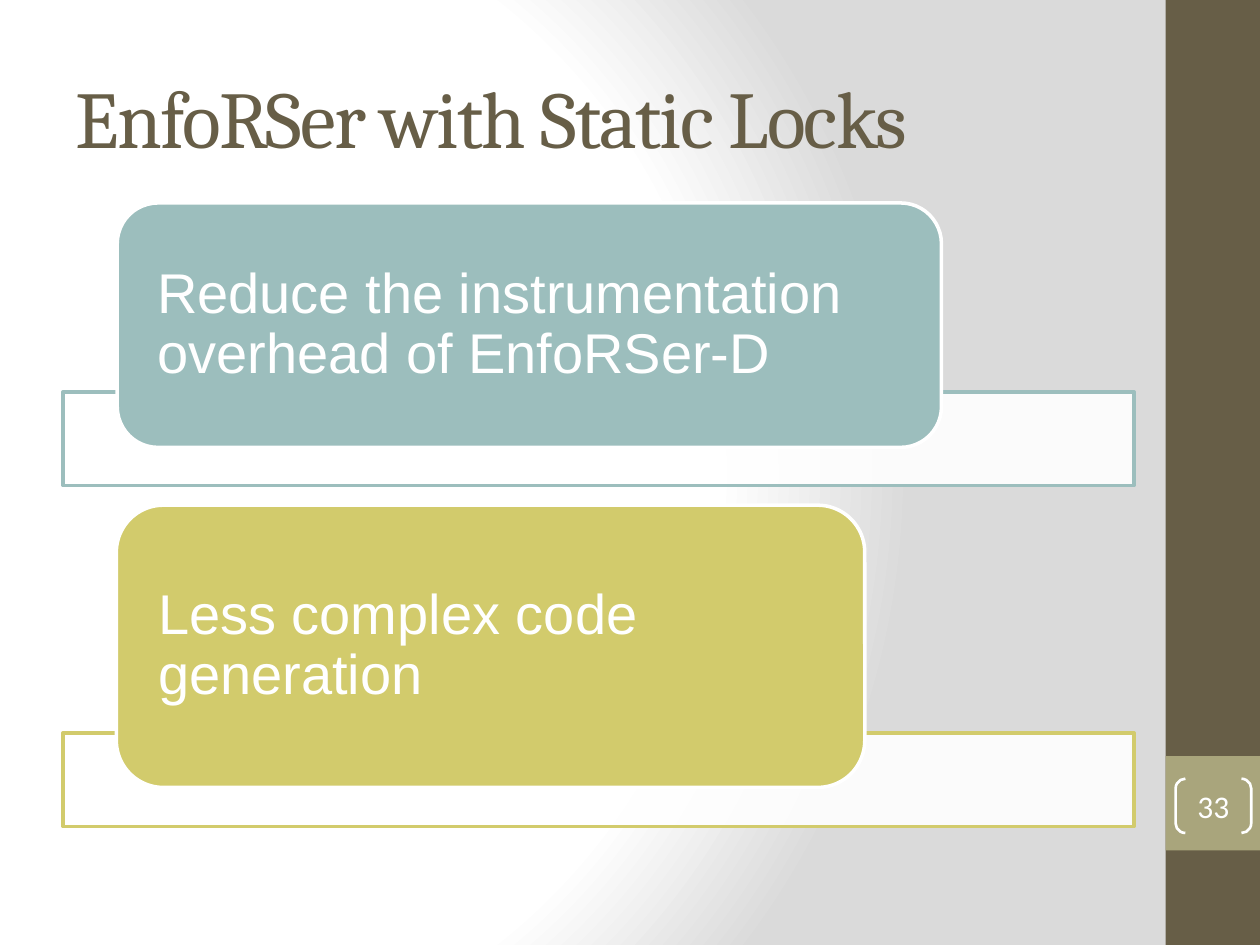
"""Build the slide "EnfoRSer with Static Locks"."""
from lxml.etree import SubElement
from pptx import Presentation
from pptx.dml.color import RGBColor
from pptx.enum.shapes import MSO_SHAPE as Shape
from pptx.enum.text import MSO_ANCHOR as Anchor, PP_ALIGN as Align
from pptx.oxml.ns import qn
from pptx.util import Pt

COLORS = {
    "white": "FFFFFF",
    "gray": "DADADA",
    "brown": "675E47",
    "olive": "A9A57C",
    "teal": "9CBEBD",
    "lime": "D2CB6C",
}


def add_block(kind, box, fill=None, line=None, width=2):
    shape = slide.shapes.add_shape(kind, *[Pt(length) for length in box])
    shape.shadow.inherit = False
    if fill:
        shape.fill.solid()
        shape.fill.fore_color.rgb = RGBColor.from_string(COLORS[fill])
    else:
        shape.fill.background()
    if line:
        shape.line.color.rgb = RGBColor.from_string(COLORS[line])
        shape.line.width = Pt(width)
    else:
        shape.line.fill.background()
    return shape


def write(shape, text, font="Arial", size=32, color="white", align=Align.LEFT,
          margins=(0, 0), line_spacing=None, tracking=None):
    frame = shape.text_frame
    frame.word_wrap = True
    frame.vertical_anchor = Anchor.MIDDLE
    frame.margin_left = frame.margin_right = Pt(margins[0])
    frame.margin_top = frame.margin_bottom = Pt(margins[1])
    paragraph = frame.paragraphs[0]
    paragraph.alignment = align
    if line_spacing:
        paragraph.line_spacing = line_spacing
    run = paragraph.add_run()
    run.text = text
    run.font.name = font
    run.font.size = Pt(size)
    run.font.color.rgb = RGBColor.from_string(COLORS[color])
    if tracking:
        run.font._element.set("spc", str(tracking * 100))


presentation = Presentation()
presentation.slide_width, presentation.slide_height = Pt(720), Pt(540)
slide = presentation.slides.add_slide(presentation.slide_layouts[6])

slide.background.fill.gradient()
gradient = slide.element.find(".//" + qn("a:gradFill"))
gradient.clear()
stops = SubElement(gradient, qn("a:gsLst"))
for position, color in ((0, "white"), (75, "white"), (100, "gray")):
    stop = SubElement(stops, qn("a:gs"), pos=str(position * 1000))
    SubElement(stop, qn("a:srgbClr"), val=COLORS[color])
circle = SubElement(gradient, qn("a:path"), {"path": "circle"})
SubElement(circle, qn("a:fillToRect"), l="20000", t="50000", r="100000", b="50000")

add_block(Shape.RECTANGLE, (666, 0, 54, 540), fill="brown")
add_block(Shape.RECTANGLE, (666, 432, 54, 54), fill="olive")

title = slide.shapes.add_textbox(Pt(36), Pt(21.6), Pt(600), Pt(90))
write(title, "EnfoRSer with Static Locks", font="Cambria", size=46, color="brown",
      margins=(7.2, 3.6), tracking=-1)

slide_number = add_block(Shape.DOUBLE_BRACKET, (671.8, 445, 43.2, 31), line="white", width=1.5)
slide_number.adjustments[0] = 0.18
write(slide_number, "33", font="Calibri", size=18, align=Align.CENTER)

goals = (
    ("Reduce the instrumentation overhead of EnfoRSer-D", "teal", 223.9, (67, 116, 471, 139.7)),
    ("Less complex code generation", "lime", 418.8, (66.5, 288.7, 427.7, 161.3)),
)
for text, color, bar_top, label_box in goals:
    bar = add_block(Shape.RECTANGLE, (36, bar_top, 612, 53.5), fill="white", line=color)
    bar_color = bar.element.spPr.find(qn("a:solidFill")).find(qn("a:srgbClr"))
    SubElement(bar_color, qn("a:alpha"), val="90000")
    label = add_block(Shape.ROUNDED_RECTANGLE, label_box, fill=color, line="white")
    write(label, text, margins=(16, 0), line_spacing=0.9)

presentation.save("out.pptx")
